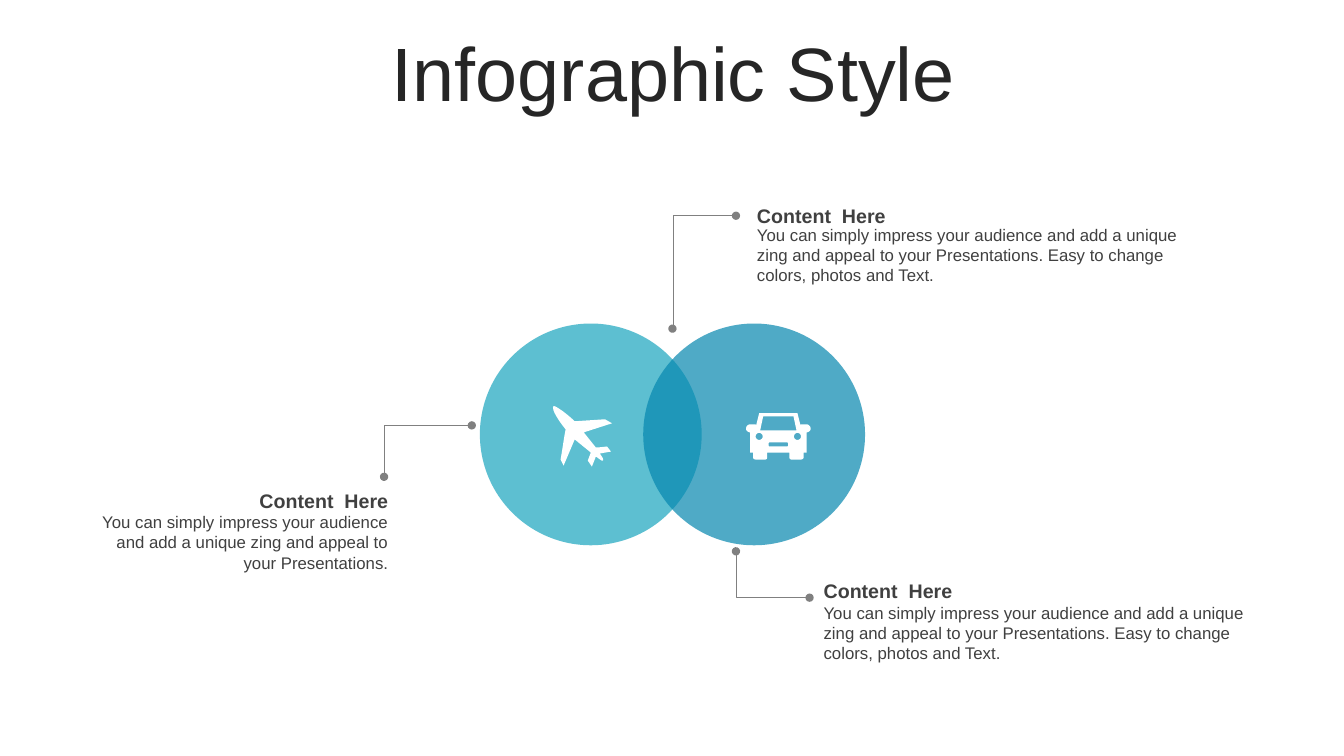
from math import cos, pi, sin
from pptx import Presentation
from pptx.dml.color import RGBColor
from pptx.enum.shapes import MSO_CONNECTOR, MSO_SHAPE
from pptx.enum.text import MSO_ANCHOR, PP_ALIGN
from pptx.oxml.ns import qn
from pptx.util import Inches, Pt
from lxml.etree import SubElement

# Content: lengths in inches
TITLE = "Infographic Style"
HEAD = "Content  Here"
SHORT = "You can simply impress your audience and add a unique zing and appeal to your Presentations."
LONG = SHORT + " Easy to change colors, photos and Text."
# left, head top, body top, width, align, body
NOTES = [
    (7.41, 1.97, 2.18, 4.53, PP_ALIGN.LEFT, LONG),
    (8.07, 5.69, 5.93, 4.51, PP_ALIGN.LEFT, LONG),
    (0.89, 4.8, 5.03, 3.06, PP_ALIGN.RIGHT, SHORT),
]
# level end, upright end
LEADS = [
    ((7.3, 2.14), (6.67, 3.26)),
    ((4.68, 4.22), (3.81, 4.73)),
    ((8.03, 5.93), (7.3, 5.47)),
]
DISCS = [(4.76, "teal"), (6.38, "blue")]
DISC_TOP, DISC_SIZE = 3.21, 2.2

# Icon outlines: a pair is a corner, six numbers are a curve
PLANE = [
    (6.06, 4.48), (5.95, 4.5), (5.96, 4.52, 5.99, 4.55, 5.98, 4.57),
    (5.97, 4.58, 5.93, 4.54, 5.91, 4.53), (5.87, 4.63), (5.83, 4.57),
    (5.86, 4.49), (5.7, 4.36), (5.59, 4.62), (5.56, 4.56),
    (5.58, 4.45, 5.59, 4.36, 5.61, 4.26), (5.56, 4.2, 5.46, 4.06, 5.49, 4.03),
    (5.51, 4.02, 5.64, 4.12, 5.7, 4.18), (6, 4.16), (6.07, 4.2),
    (5.79, 4.29), (5.91, 4.44), (5.94, 4.44, 6.02, 4.43, 6.02, 4.43),
]
# Right half of the car, measured from the middle of its roof
CAR_X, CAR_Y = 7.72, 4.1
BODY = [
    (0.19, 0), (0.22, 0.12), (0.22, 0.11, 0.23, 0.11, 0.24, 0.11), (0.28, 0.11),
    (0.3, 0.11, 0.32, 0.13, 0.32, 0.15), (0.32, 0.16),
    (0.32, 0.17, 0.3, 0.19, 0.28, 0.19), (0.28, 0.39), (0.25, 0.39), (0.25, 0.44),
    (0.25, 0.45, 0.24, 0.46, 0.22, 0.46), (0.13, 0.46),
    (0.12, 0.46, 0.11, 0.45, 0.11, 0.44), (0.11, 0.39),
]
GLASS = [(0.15, 0.03), (0.18, 0.17)]
GRILLE = [(0.09, 0.29), (0.1, 0.29, 0.1, 0.33, 0.09, 0.33)]
LAMP_X, LAMP_Y, LAMP_SIZE = 0.19, 0.23, 0.07

THEME = {
    "font": "Arial", "title": 54, "head": 14, "body": 12, "line": 0.5,
    "dark": "262626", "text": "404040", "grey": "808080", "white": "FFFFFF",
    "teal": "19A5BE", "blue": "0587AF", "alpha": 70,
}

deck = Presentation()
deck.slide_width, deck.slide_height = Inches(13.33), Inches(7.5)
slide = deck.slides.add_slide(deck.slide_layouts[6])
shapes = slide.shapes


def hue(name):
    return RGBColor.from_string(THEME[name])


def write(text, box, size, color="text", bold=False, align=PP_ALIGN.LEFT,
          anchor=MSO_ANCHOR.TOP, space=None):
    frame = shapes.add_textbox(*map(Inches, box)).text_frame
    frame.word_wrap = True
    frame.vertical_anchor = anchor
    para = frame.paragraphs[0]
    para.alignment, para.line_spacing = align, space
    run = para.add_run()
    run.text = text
    font = run.font
    font.name, font.size, font.bold = THEME["font"], Pt(THEME[size]), bold
    font.color.rgb = hue(color)


def paint(shape, color):
    shape.shadow.inherit = False
    shape.fill.solid()
    shape.fill.fore_color.rgb = hue(color)
    shape.line.fill.background()


def trace(steps, count=8):
    """Turn corners and curves into a list of points."""
    points = []
    for step in steps:
        if len(step) == 2:
            points.append(step)
            continue
        ctrl = [points[-1], step[:2], step[2:4], step[4:]]
        for n in range(1, count + 1):
            t = n / count
            mix = ((1 - t) ** 3, 3 * t * (1 - t) ** 2, 3 * t * t * (1 - t), t ** 3)
            points.append(tuple(sum(m * c[k] for m, c in zip(mix, ctrl)) for k in (0, 1)))
    return points


def mirror(half):
    right = trace(half)
    both = right + [(-x, y) for x, y in reversed(right)]
    return [(CAR_X + x, CAR_Y + y) for x, y in both]


def lamp(side, count=24):
    turns = [2 * pi * n / count for n in range(count)]
    return [(CAR_X + side * LAMP_X + LAMP_SIZE / 2 * cos(a),
             CAR_Y + LAMP_Y + LAMP_SIZE / 2 * sin(a)) for a in turns]


def icon(*loops):
    loops = [[(Inches(x), Inches(y)) for x, y in loop] for loop in loops]
    pen = shapes.build_freeform(*loops[0][0], scale=1.0)
    for n, loop in enumerate(loops):
        if n:
            pen.move_to(*loop[0])
        pen.add_line_segments(loop[1:], close=True)
    paint(pen.convert_to_shape(), "white")


def lead(start, end):
    wire = shapes.add_connector(MSO_CONNECTOR.ELBOW, *map(Inches, start + end))
    wire.line.color.rgb = hue("grey")
    wire.line.width = Pt(THEME["line"])
    props = wire._element.spPr
    # Bend close to the far end
    guides = props.find(qn("a:prstGeom")).get_or_add_avLst()
    SubElement(guides, qn("a:gd"), name="adj1", fmla="val 99200")
    for tag in ("a:headEnd", "a:tailEnd"):
        SubElement(props.find(qn("a:ln")), qn(tag), type="oval")
    SubElement(props, qn("a:effectLst"))


# Title
write(TITLE, (0.35, 0.37, 12.66, 0.79), "title", color="dark",
      align=PP_ALIGN.CENTER, anchor=MSO_ANCHOR.MIDDLE, space=0.9)

# Overlapping discs
for left, color in DISCS:
    disc = shapes.add_shape(MSO_SHAPE.OVAL, *map(Inches, (left, DISC_TOP, DISC_SIZE, DISC_SIZE)))
    paint(disc, color)
    tint = disc._element.spPr.find(qn("a:solidFill"))[0]
    SubElement(tint, qn("a:alpha"), val=str(THEME["alpha"] * 1000))

# Leader lines
for start, end in LEADS:
    lead(start, end)

# Notes
for left, top, below, width, align, body in NOTES:
    write(HEAD, (left, top, width, 0.34), "head", bold=True, align=align)
    write(body, (left, below, width, 0.71), "body", align=align)

# Icons
icon(mirror(BODY), mirror(GLASS), mirror(GRILLE), lamp(-1), lamp(1))
icon(trace(PLANE))

deck.save("out.pptx")
